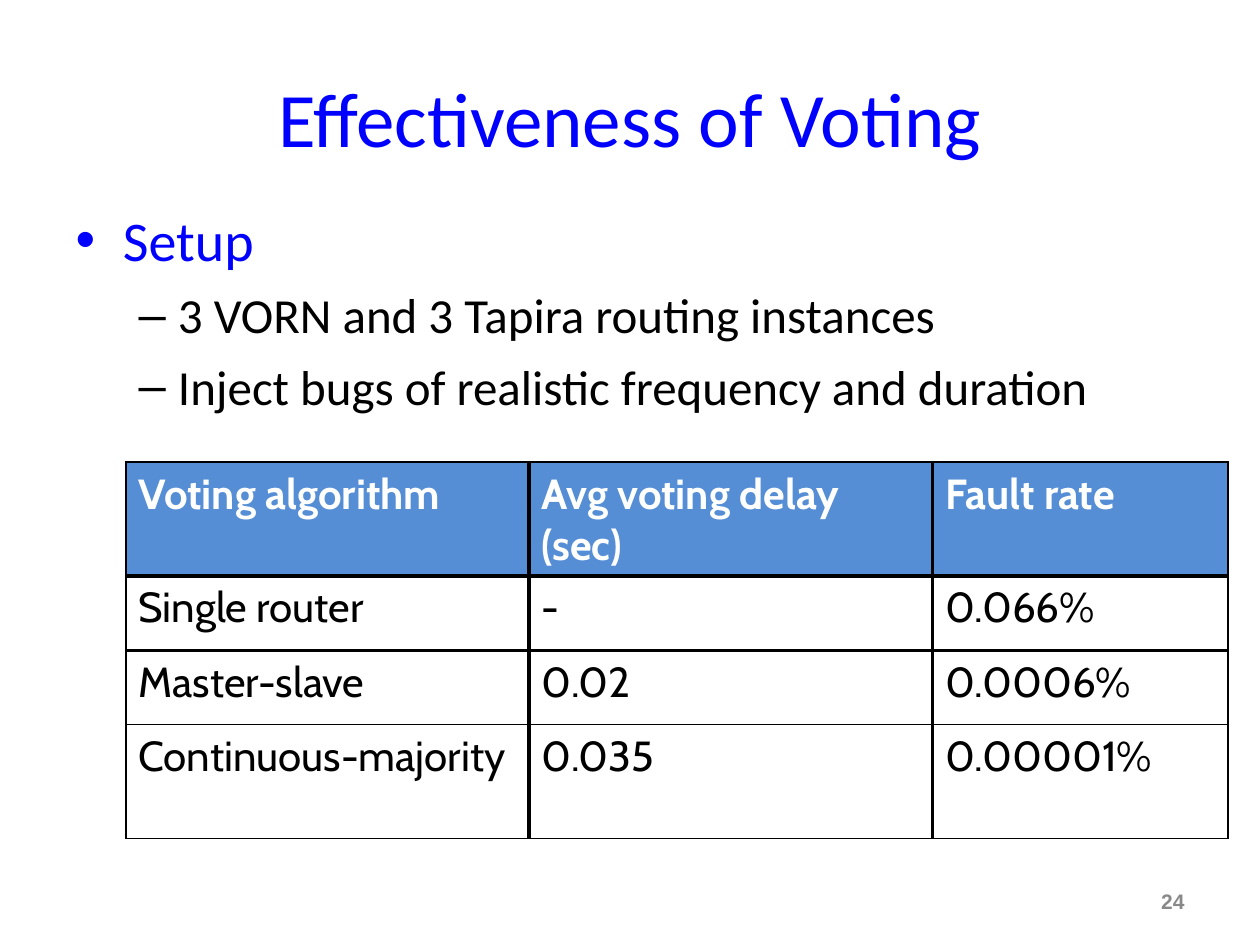
"""Build the slide on how effective voting is, with a bulleted setup and a results table."""
from dataclasses import dataclass

from lxml import etree
from pptx import Presentation
from pptx import util as u
from pptx.dml.color import RGBColor
from pptx.enum import text
from pptx.oxml import ns

COLORS = {
    "heading": "0000FF",
    "body": "000000",
    "header_fill": "558ED5",
    "header_text": "FFFFFF",
    "border": "000000",
    "number": "898989",
}
COLUMN_WIDTHS = (230.4, 230.4, 168.8)
ROW_HEIGHTS = (65, 42.5, 42.5, 65)
VERTICAL_RULES = (1.08, 2.21, 2.21, 1.08)
HORIZONTAL_RULES = (1.08, 2.21, 2.21, 0.45, 0.45)
RESULTS = (
    ("Voting algorithm", "Avg voting delay (sec)", "Fault rate"),
    ("Single router", "-", "0.066%"),
    ("Master-slave", "0.02", "0.0006%"),
    ("Continuous-majority", "0.035", "0.00001%"),
)


@dataclass(frozen=True)
class Box:
    left: float
    top: float
    width: float
    height: float

    def lengths(self) -> tuple:
        return tuple(u.Pt(value) for value in (self.left, self.top, self.width, self.height))


@dataclass(frozen=True)
class Style:
    size: float
    color: str
    font: str = "Calibri"
    bold: bool = False
    space_before: float = 0


@dataclass(frozen=True)
class Bullet:
    wording: str
    level: int
    style: Style


TITLE_STYLE = Style(44, "heading")
TOPIC_STYLE = Style(32, "heading", space_before=8)
DETAIL_STYLE = Style(28, "body", space_before=7)
HEADER_STYLE = Style(24, "header_text", "Cabin", True, 6)
CELL_STYLE = Style(24, "body", "Cabin", space_before=6)
NUMBER_STYLE = Style(12, "number", "Arial", True)
BULLETS = (
    Bullet("Setup", 0, TOPIC_STYLE),
    Bullet("3 VORN and 3 Tapira routing instances", 1, DETAIL_STYLE),
    Bullet("Inject bugs of realistic frequency and duration", 1, DETAIL_STYLE),
)


def write(paragraph, wording: str, style: Style) -> None:
    paragraph.text = wording
    paragraph.space_before = u.Pt(style.space_before)
    for run in paragraph.runs:
        run.font.name = style.font
        run.font.size = u.Pt(style.size)
        run.font.bold = style.bold
        run.font.color.rgb = RGBColor.from_string(COLORS[style.color])


def place(shape, box: Box) -> None:
    shape.left, shape.top, shape.width, shape.height = box.lengths()


def add_borders(cell, widths: dict[str, float]) -> None:
    properties = cell._tc.get_or_add_tcPr()
    for side, width in widths.items():
        line = etree.SubElement(properties, ns.qn(f"a:ln{side}"), w=str(int(u.Pt(width))))
        fill = etree.SubElement(line, ns.qn("a:solidFill"))
        etree.SubElement(fill, ns.qn("a:srgbClr"), val=COLORS["border"])


def add_bullets(shape, bullets: tuple[Bullet, ...]) -> None:
    frame = shape.text_frame
    frame.auto_size = text.MSO_AUTO_SIZE.NONE
    for index, bullet in enumerate(bullets):
        paragraph = frame.add_paragraph() if index else frame.paragraphs[0]
        paragraph.level = bullet.level
        write(paragraph, bullet.wording, bullet.style)


def add_results(slide, box: Box) -> None:
    frame = slide.shapes.add_table(len(ROW_HEIGHTS), len(COLUMN_WIDTHS), *box.lengths())
    table = frame.table
    table.first_row = table.horz_banding = False
    for column, width in zip(table.columns, COLUMN_WIDTHS):
        column.width = u.Pt(width)
    for row_index, (row, height) in enumerate(zip(table.rows, ROW_HEIGHTS)):
        row.height = u.Pt(height)
        for column_index, cell in enumerate(row.cells):
            add_borders(cell, {
                "L": VERTICAL_RULES[column_index],
                "R": VERTICAL_RULES[column_index + 1],
                "T": HORIZONTAL_RULES[row_index],
                "B": HORIZONTAL_RULES[row_index + 1],
            })
            if row_index == 0:
                cell.fill.solid()
                cell.fill.fore_color.rgb = RGBColor.from_string(COLORS["header_fill"])
            else:
                cell.fill.background()
            style = CELL_STYLE if row_index else HEADER_STYLE
            write(cell.text_frame.paragraphs[0], RESULTS[row_index][column_index], style)


def add_slide_number(slide, number: int, box: Box) -> None:
    frame = slide.shapes.add_textbox(*box.lengths()).text_frame
    frame.word_wrap = True
    frame.vertical_anchor = text.MSO_ANCHOR.MIDDLE
    paragraph = frame.paragraphs[0]
    paragraph.alignment = text.PP_ALIGN.RIGHT
    write(paragraph, str(number), NUMBER_STYLE)


def main() -> None:
    presentation = Presentation()
    presentation.slide_width, presentation.slide_height = u.Pt(720), u.Pt(540)
    slide = presentation.slides.add_slide(presentation.slide_layouts[1])
    title, body = slide.placeholders
    place(title, Box(36, 21.6, 648, 90))
    title.text_frame.auto_size = text.MSO_AUTO_SIZE.NONE
    write(title.text_frame.paragraphs[0], "Effectiveness of Voting", TITLE_STYLE)
    place(body, Box(36, 113.8, 648, 356.4))
    add_bullets(body, BULLETS)
    add_slide_number(slide, 24, Box(516.2, 500.4, 167.8, 28.8))
    add_results(slide, Box(72, 264.2, sum(COLUMN_WIDTHS), sum(ROW_HEIGHTS)))
    presentation.save("out.pptx")


if __name__ == "__main__":
    main()
